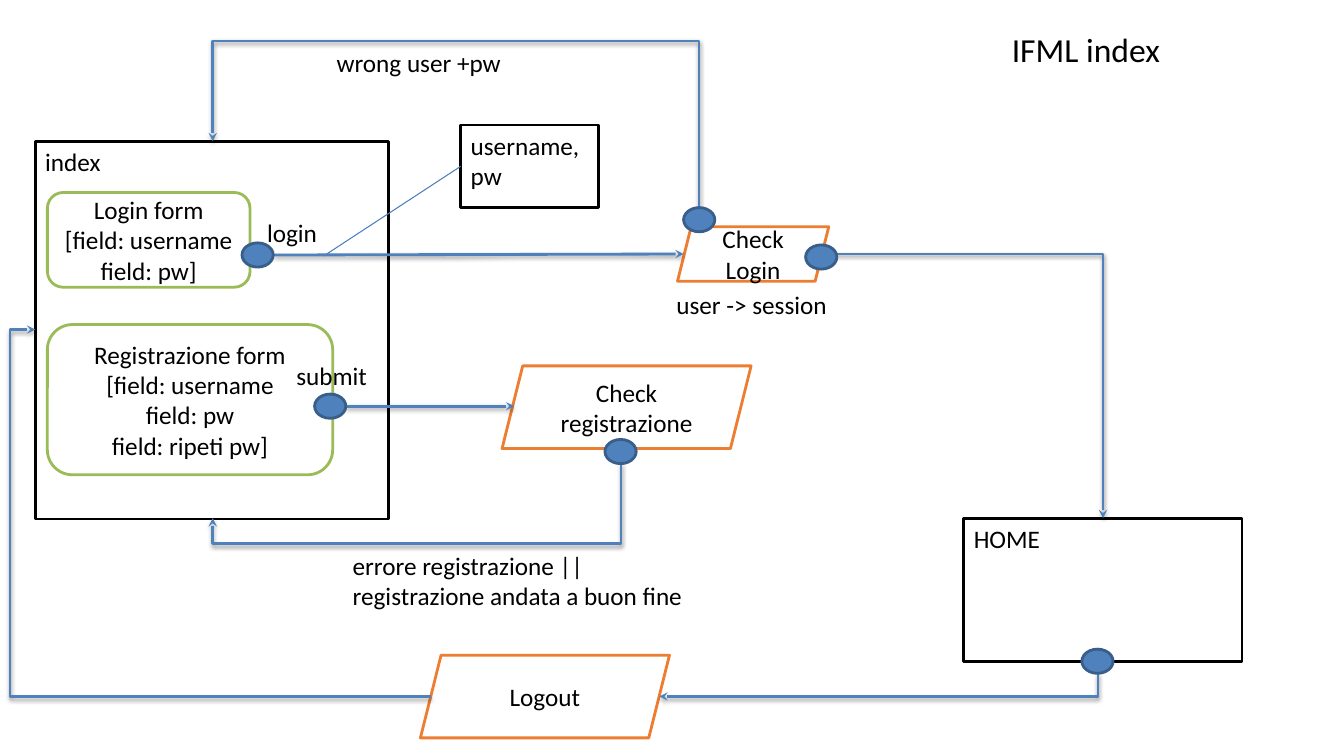
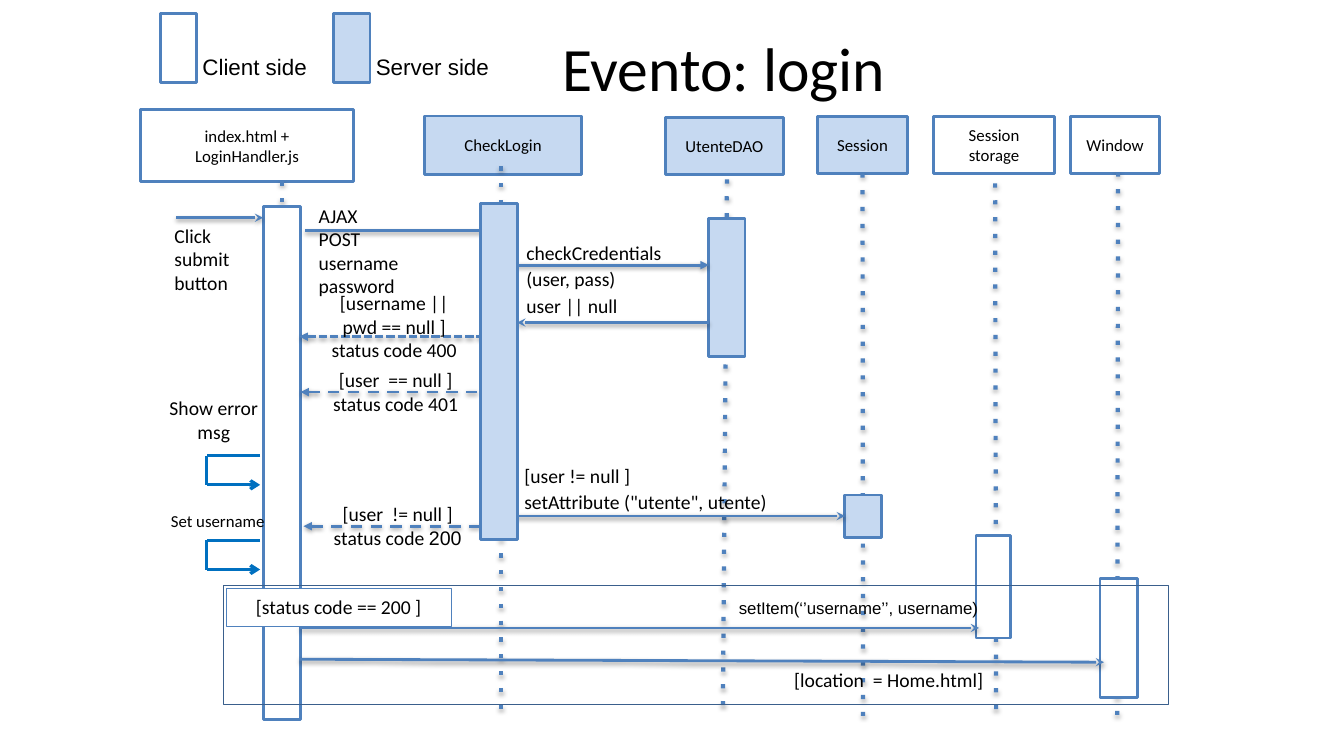
import pptx
import pptx.dml.color
import pptx.enum.shapes
import pptx.enum.text
import pptx.oxml
import pptx.oxml.ns
import pptx.util

RGB = pptx.dml.color.RGBColor
KIND = pptx.enum.shapes.MSO_SHAPE
LINK = pptx.enum.shapes.MSO_CONNECTOR
ALIGN = pptx.enum.text.PP_ALIGN
ANCHOR = pptx.enum.text.MSO_ANCHOR

BLACK = RGB(0x00, 0x00, 0x00)
WHITE = RGB(0xFF, 0xFF, 0xFF)
BLUE = RGB(0x4F, 0x81, 0xBD)
PALE_BLUE = RGB(0xC6, 0xD9, 0xF1)
DOT_EDGE = RGB(0x39, 0x5E, 0x89)
NOTE_BLUE = RGB(0x4A, 0x7D, 0xBA)
LOOP_BLUE = RGB(0x00, 0x70, 0xC0)
FRAME_BLUE = RGB(0x3A, 0x5F, 0x8C)
GREEN = RGB(0x9B, 0xBB, 0x59)
ORANGE = RGB(0xED, 0x7D, 0x31)

CM_PER_UNIT = 2.54
TIGHT = (0.1, 0.05)
LOOSE = (0.12, 0.06)
FLAT = (0.12, 0)

PAGE_BOX = dict(kind=KIND.RECTANGLE, edge=BLACK, align=ALIGN.LEFT, anchor=ANCHOR.TOP)
FORM_BOX = dict(kind=KIND.ROUNDED_RECTANGLE, edge=GREEN)
ACTION_BOX = dict(kind=KIND.PARALLELOGRAM, edge=ORANGE)

IFML_BOXES = [
    ("index", (0.35, 1.4, 3.5, 3.75), PAGE_BOX),
    ("HOME", (9.56, 5.14, 2.76, 1.42), PAGE_BOX),
    ("username, pw", (4.57, 1.24, 1.37, 0.82), PAGE_BOX),
    ("Login form\n[field: username\nfield: pw]", (0.47, 1.91, 2.01, 0.94), FORM_BOX),
    ("Registrazione form\n[field: username\nfield: pw\nfield: ripeti pw]",
     (0.47, 3.22, 2.83, 1.49), FORM_BOX),
    ("Check\nLogin", (6.72, 2.25, 1.5, 0.54), ACTION_BOX),
    ("Check registrazione", (4.98, 3.63, 2.47, 0.82), ACTION_BOX),
    ("Logout", (4.17, 6.5, 2.47, 0.82), ACTION_BOX),
]
IFML_BENDS = [
    ((8.15, 2.52, 2.79, 2.62), 0, "bentConnector2", []),
    ((2.11, 1.4, 4.8, 0.83), 180, "bentConnector4", [-0.005, 2.197]),
    ((3.86, 2.84, 0.55, 4.05), 90, "bentConnector3", [1.454]),
    ((8.6, 4.62, 0.23, 4.35), 90, "bentConnector2", []),
    ((0.35, 3.27, 3.92, 3.64), 180, "bentConnector3", [1.064]),
]
IFML_FLOWS = [(2.72, 2.53, 6.78, 2.52), (3.43, 4.03, 5.1, 4.03)]
IFML_DOTS = [(2.4, 2.41), (7.99, 2.43), (6.78, 2.06), (3.12, 3.91), (6, 4.36), (10.73, 6.44)]
IFML_LABELS = [
    ("login", (2.55, 2.11, 0.91, 0.3)),
    ("wrong user +pw", (3.24, 0.42, 1.86, 0.44)),
    ("user -> session", (6.61, 2.82, 1.7, 0.3)),
    ("submit", (2.84, 3.53, 0.91, 0.3)),
    ("errore registrazione ||\nregistrazione andata a buon fine", (3.4, 5.41, 3.5, 0.96)),
]

HEADS = [
    ("index.html + LoginHandler.js", (1.39, 1.09, 2.12, 0.71), WHITE),
    ("CheckLogin", (4.21, 1.15, 1.56, 0.58), PALE_BLUE),
    ("UtenteDAO", (6.6, 1.17, 1.17, 0.56), PALE_BLUE),
    ("Session", (8.11, 1.16, 0.89, 0.56), PALE_BLUE),
    ("Session storage", (9.26, 1.16, 1.2, 0.56), WHITE),
    ("Window", (10.62, 1.16, 0.88, 0.56), WHITE),
]
LIFELINES = {
    "index.html + LoginHandler.js": (2.8, 1.8, 2.8, 6.64),
    "CheckLogin": (4.97, 1.65, 4.97, 7.03),
    "UtenteDAO": (7.21, 1.78, 7.17, 7.03),
    "Session": (8.56, 1.73, 8.56, 7.13),
    "Session storage": (9.87, 1.82, 9.88, 7.13),
    "Window": (11.09, 1.71, 11.08, 7.13),
}
ACTIVATIONS = {
    "index": ((2.61, 2.05, 0.37, 5.09), WHITE),
    "UtenteDAO": ((7.03, 2.17, 0.36, 1.37), PALE_BLUE),
    "Session": ((8.38, 4.91, 0.36, 0.42), PALE_BLUE),
    "Session storage": ((9.68, 5.31, 0.34, 1.02), WHITE),
    "Window": ((10.91, 5.74, 0.37, 1.18), WHITE),
}
CHECK_ACTIVATION = (4.77, 2.02, 0.36, 3.33)
SET_ATTRIBUTE = (5.02, 5.12, 8.38, 5.12)
STEALTH = dict(tail="stealth")
REPLY = dict(head="triangle", dash="dash")
MESSAGES = [
    ((1.75, 2.16, 2.61, 2.16), STEALTH),
    ((3.03, 2.29, 4.95, 2.29), STEALTH),
    ((5.12, 2.63, 7.03, 2.63), dict(tail="triangle")),
    ((7.03, 3.2, 5.13, 3.2), STEALTH),
    ((2.97, 3.34, 4.92, 3.34), dict(head="triangle", dash="sysDash")),
    ((2.98, 3.89, 4.95, 3.89), REPLY),
    ((3.01, 5.22, 4.95, 5.22), REPLY),
    ((2.98, 6.23, 9.71, 6.23), STEALTH),
    ((2.97, 6.54, 10.95, 6.57), STEALTH),
]
LOOP_TOPS = [4.52, 5.36]
LEGEND = [("Client side", 1.59, 1.31, WHITE), ("Server side", 3.31, 1.4, PALE_BLUE)]
LEFT = dict(align=ALIGN.LEFT)
SPACED = dict(align=ALIGN.LEFT, after=2)
LOGIN_LABELS = [
    ("AJAX POST username password", (3.04, 1.96, 1.08, 0.68), LEFT),
    ("Click\nsubmit\nbutton", (1.61, 2.16, 0.86, 1.08), LEFT),
    ("checkCredentials\n(user, pass)", (5.1, 2.33, 1.9, 0.53), SPACED),
    ("user || null", (5.1, 2.86, 1.35, 0.4), LEFT),
    ('[user != null ]\nsetAttribute ("utente", utente)', (5.08, 4.54, 3.69, 0.63), SPACED),
    ("[username ||\npwd == null ]\nstatus code 400", (3.1, 2.83, 1.62, 0.51), {}),
    ("[user  == null ]\nstatus code 401", (3.11, 3.59, 1.63, 0.51), {}),
    ("[user  != null ]\nstatus code 200", (3.11, 4.92, 1.67, 0.71), dict(arial="200")),
    ("[location  = Home.html]", (7.51, 6.57, 2.61, 0.33), {}),
    ("Show error msg", (1.52, 3.87, 1.2, 0.61), {}),
    ("Set username", (1.56, 5.07, 1.2, 0.39), dict(size=12, margins=FLAT)),
    ("setItem(‘’username’’, username)", (7.23, 5.88, 2.6, 0.3),
     dict(align=ALIGN.LEFT, size=12, margins=TIGHT, font="Arial", wrap=False)),
]


def length(value):
    return pptx.util.Cm(value * CM_PER_UNIT)


def lengths(values):
    return [length(value) for value in values]


def assign(target, values):
    for name, value in values.items():
        setattr(target, name, value)


def write(box, text, size=14, align=ALIGN.CENTER, anchor=ANCHOR.TOP, margins=LOOSE,
          font="Calibri", wrap=True, after=0, arial=None):
    side, edge = lengths(margins)
    frame = box.text_frame
    assign(frame, dict(word_wrap=wrap, auto_size=pptx.enum.text.MSO_AUTO_SIZE.NONE,
                       vertical_anchor=anchor, margin_left=side, margin_right=side,
                       margin_top=edge, margin_bottom=edge))
    for index, line in enumerate(text.split("\n")):
        para = frame.add_paragraph() if index else frame.paragraphs[0]
        assign(para, dict(alignment=align, space_before=pptx.util.Pt(0),
                          space_after=pptx.util.Pt(after)))
        pieces = [(line, font)]
        if arial and line.endswith(arial):
            pieces = [(line[:-len(arial)], font), (arial, "Arial")]
        for words, face in pieces:
            span = para.add_run()
            span.text = words
            assign(span.font, dict(name=face, size=pptx.util.Pt(size)))
            span.font.color.rgb = BLACK


def draw_box(page, place, kind=KIND.RECTANGLE, fill=WHITE, edge=BLUE, width=2):
    box = page.shapes.add_shape(kind, *lengths(place))
    box.shadow.inherit = False
    if fill is None:
        box.fill.background()
    else:
        box.fill.solid()
        box.fill.fore_color.rgb = fill
    box.line.color.rgb = edge
    box.line.width = pptx.util.Pt(width)
    return box


def draw_label(page, text, place, **style):
    write(page.shapes.add_textbox(*lengths(place)), text, **style)


def add_node(parent, tag, **values):
    node = pptx.oxml.parse_xml(f"<{tag} {pptx.oxml.ns.nsdecls('a')}/>")
    for name, value in values.items():
        node.set(name, str(value))
    parent.append(node)
    return node


def draw_line(shapes, ends, kind=LINK.STRAIGHT, color=BLUE, width=2, dash=None,
              head=None, tail=None, shadow=(38, 20000)):
    line = shapes.add_connector(kind, *lengths(ends))
    line.line.color.rgb = color
    line.line.width = pptx.util.Pt(width)
    outline = line.line._get_or_add_ln()
    for tag, name, value in (("a:prstDash", "val", dash), ("a:headEnd", "type", head),
                             ("a:tailEnd", "type", tail)):
        if value:
            add_node(outline, tag, **{name: value})
    effects = add_node(line.element.spPr, "a:effectLst")
    if shadow:
        alpha, distance = shadow
        cast = add_node(effects, "a:outerShdw", blurRad=40000, dist=distance,
                        dir=5400000, rotWithShape=0)
        tint = add_node(cast, "a:srgbClr", val=BLACK)
        add_node(tint, "a:alpha", val=alpha * 1000)
    return line


def draw_bend(page, place, turn, preset, adjusts):
    left, top, width, height = place
    line = draw_line(page.shapes, (left, top, left + width, top + height),
                     kind=LINK.ELBOW, tail="stealth")
    properties = line.element.spPr
    properties.find(pptx.oxml.ns.qn("a:xfrm")).set("rot", str(turn * 60000))
    geometry = properties.find(pptx.oxml.ns.qn("a:prstGeom"))
    geometry.set("prst", preset)
    for guides in list(geometry):
        geometry.remove(guides)
    guides = add_node(geometry, "a:avLst")
    for number, value in enumerate(adjusts, 1):
        add_node(guides, "a:gd", name=f"adj{number}", fmla=f"val {round(value * 100000)}")


def new_page(deck, title, place, **style):
    page = deck.slides.add_slide(deck.slide_layouts[5])
    box = page.shapes.title
    assign(box, dict(zip(("left", "top", "width", "height"), lengths(place))))
    write(box, title, **style)
    return page


def build_ifml(deck):
    page = new_page(deck, "IFML index", (8.21, 0.24, 5.12, 0.5), size=24, margins=TIGHT)
    boxes = {}
    for text, place, look in IFML_BOXES:
        boxes[text] = draw_box(page, place, kind=look["kind"], edge=look["edge"])
        write(boxes[text], text, size=18, margins=TIGHT,
              align=look.get("align", ALIGN.CENTER), anchor=look.get("anchor", ANCHOR.MIDDLE))
    note = draw_line(page.shapes, (4.57, 1.65, 3.21, 2.54), color=NOTE_BLUE, width=0.75,
                     shadow=None)
    note.begin_connect(boxes["username, pw"], 1)
    for bend in IFML_BENDS:
        draw_bend(page, *bend)
    for ends in IFML_FLOWS:
        draw_line(page.shapes, ends, tail="stealth")
    for left, top in IFML_DOTS:
        draw_box(page, (left, top, 0.31, 0.24), kind=KIND.OVAL, fill=BLUE, edge=DOT_EDGE)
    for text, place in IFML_LABELS:
        draw_label(page, text, place, size=18, align=ALIGN.LEFT, margins=TIGHT)


def build_login(deck):
    page = new_page(deck, "Evento: login", (1.03, 0.11, 12.3, 1.1), size=44,
                    anchor=ANCHOR.MIDDLE)
    heads = {}
    for text, place, fill in HEADS:
        heads[text] = draw_box(page, place, fill=fill)
        write(heads[text], text, size=12, anchor=ANCHOR.MIDDLE)
    lifelines = {name: draw_line(page.shapes, ends, width=3, dash="dot", shadow=(35, 23000))
                 for name, ends in LIFELINES.items()}
    lifelines["Session"].begin_connect(heads["Session"], 2)
    bars = {name: draw_box(page, place, fill=fill)
            for name, (place, fill) in ACTIVATIONS.items()}
    for ends, style in MESSAGES:
        draw_line(page.shapes, ends, **style)
    draw_line(page.shapes, SET_ATTRIBUTE, **STEALTH).end_connect(bars["Session"], 1)
    draw_box(page, CHECK_ACTIVATION, fill=PALE_BLUE)

    for top in LOOP_TOPS:
        group = page.shapes.add_group_shape()
        corners = [(2.58, top), (2.05, top), (2.05, top + 0.29), (2.58, top + 0.29)]
        for start, end, tail in zip(corners, corners[1:], (None, None, "arrow")):
            draw_line(group.shapes, start + end, color=LOOP_BLUE, width=2.25, tail=tail,
                      shadow=None)

    write(draw_box(page, (2.24, 5.84, 2.24, 0.37), width=0.25), "[status code == 200 ]")
    draw_box(page, (2.22, 5.81, 9.37, 1.18), fill=None, edge=FRAME_BLUE, width=1)
    for text, left, width, fill in LEGEND:
        draw_box(page, (left, 0.13, 0.36, 0.69), fill=fill)
        draw_label(page, text, (left + 0.32, 0.48, width, 0.37), size=16, font="Arial",
                   align=ALIGN.LEFT, margins=TIGHT, wrap=False)
    for text, place, style in LOGIN_LABELS:
        draw_label(page, text, place, **style)


def main():
    deck = pptx.Presentation()
    deck.slide_width, deck.slide_height = lengths((13.33, 7.5))
    build_ifml(deck)
    build_login(deck)
    deck.save("out.pptx")


if __name__ == "__main__":
    main()
